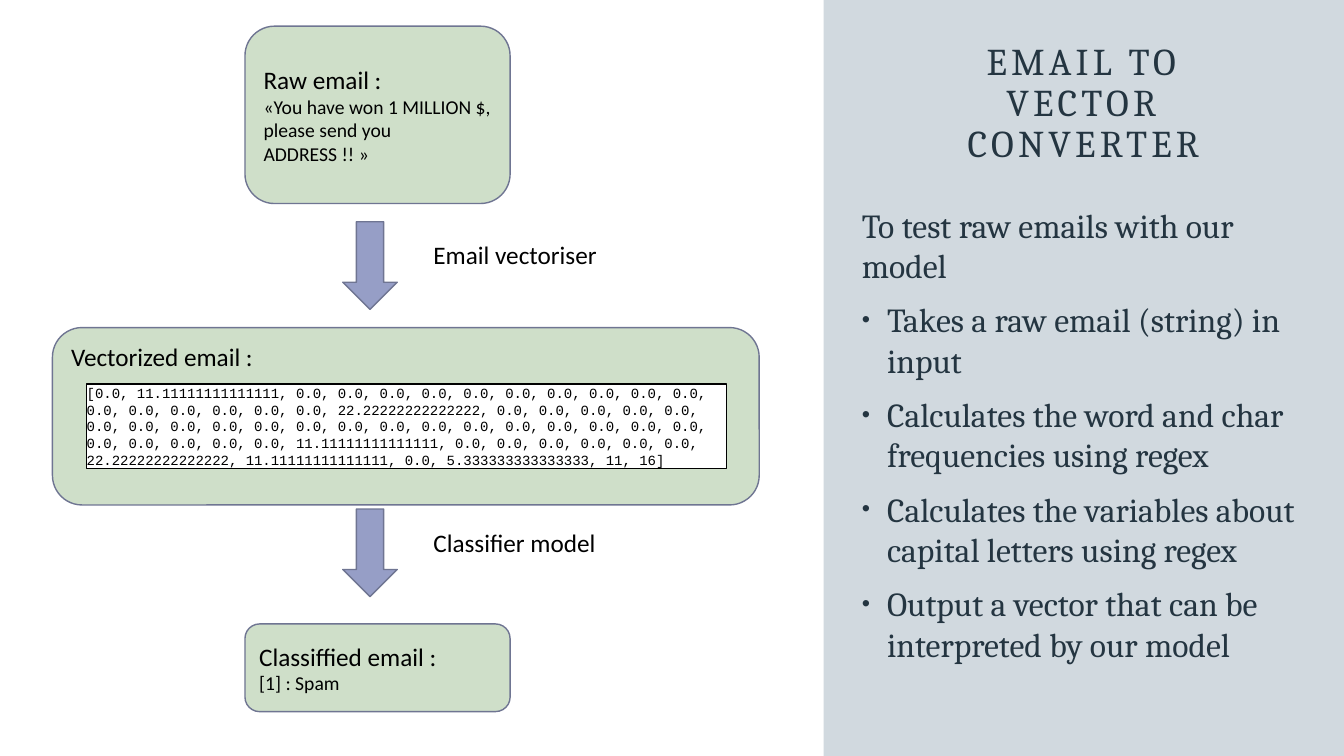
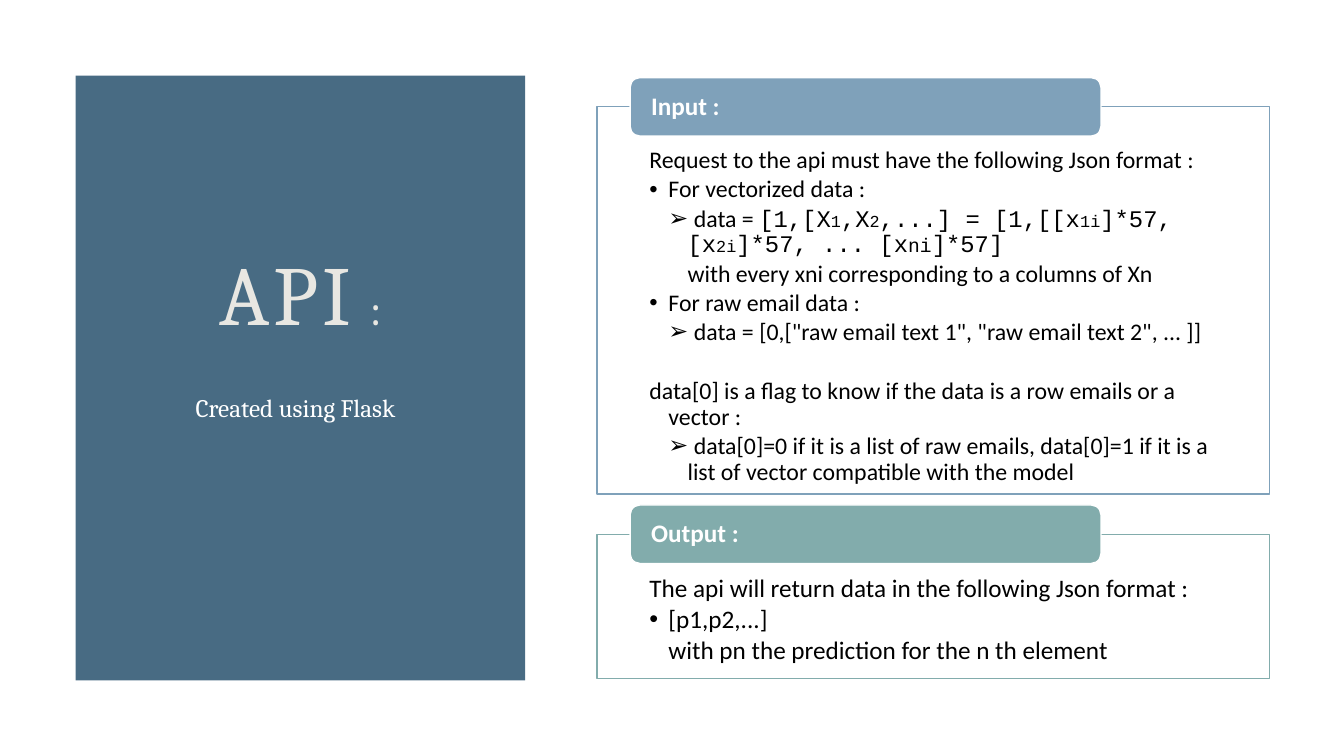
from lxml.etree import SubElement
from pptx import Presentation
from pptx.dml.color import RGBColor
from pptx.enum.shapes import MSO_SHAPE
from pptx.enum.text import MSO_ANCHOR, PP_ALIGN
from pptx.oxml.ns import qn
from pptx.util import Inches, Pt

# Shared look
BLUE, INK, CREAM = "486B83", "243541", "E8E7E2"
GREEN, LILAC, EDGE = "CFDFC9", "969EC6", "6F7592"
WHITE, BLACK = "FFFFFF", "000000"
SERIF, SANS, MONO = "Cambria", "Calibri", "Courier New"
RECT, ROUND = MSO_SHAPE.RECTANGLE, MSO_SHAPE.ROUNDED_RECTANGLE
TOP, MID, LOW = MSO_ANCHOR.TOP, MSO_ANCHOR.MIDDLE, MSO_ANCHOR.BOTTOM
INSET = (0.1, 0.05, 0.1, 0.05)
STEP = 0.19

# Slide 1: a paragraph is (runs, options); a run is (text, options)
GOAL = "To test raw emails with our model"
TASKS = [
    "Takes a raw email (string) in input",
    "Calculates the word and char frequencies using regex",
    "Calculates the variables about capital letters using regex",
    "Output a vector that can be interpreted by our model",
]
VECTOR = (
    ["0.0", "11.11111111111111"] + ["0.0"] * 16 + ["22.22222222222222"]
    + ["0.0"] * 25 + ["11.11111111111111"] + ["0.0"] * 6
    + ["22.22222222222222", "11.11111111111111", "0.0",
       "5.333333333333333", "11", "16"]
)
STAGES = [
    ((2.43, 0.26, 2.63, 1.76), MID, "Raw email :",
     "«You have won 1 MILLION $, please send you ADDRESS !!\u00a0»"),
    ((0.52, 3.25, 7.01, 1.76), TOP, "Vectorized email :", None),
    ((2.43, 6.19, 2.63, 0.87), MID, "Classiffied email :", "[1] : Spam"),
]
ARROWS = [(2.2, "Email vectoriser"), (5.05, "Classifier model")]

# Slide 2: a line is (runs, level, bullet, space before)
CODE, SUB = {"face": MONO}, {"face": MONO, "size": 12}
FORMAT = [
    (" data = ", {}), ("[1,[X", CODE), ("1", SUB), (",X", CODE), ("2", SUB),
    (",...] = [1,[[x", CODE), ("1i", SUB), ("]*57, [x", CODE), ("2i", SUB),
    ("]*57, ... [x", CODE), ("ni", {"face": MONO, "size": 14}),
    ("]*57]", CODE),
]
DOT, POINT = "•", "➢"
PANELS = [
    ("Input :", "7FA1BA", 1.06, 3.84, 17, [
        ("Request to the api must have the following Json format :", 1, "", 0),
        ("For vectorized data :", 1, DOT, 0),
        (FORMAT, 2, POINT, 0),
        ("with every xni corresponding to a columns of Xn", 3, "", 0),
        ("For raw email data :", 1, DOT, 0),
        (' data = [0,["raw email text 1", "raw email text 2", ... ]]',
         2, POINT, 0),
        ("data[0] is a flag to know if the data is a row emails or a vector :",
         1, "", 21),
        (" data[0]=0 if it is a list of raw emails, data[0]=1 if it is a "
         "list of vector compatible with the model", 2, POINT, 0),
    ]),
    ("Output :", "82ACAC", 5.3, 1.43, 18, [
        ("The api will return data in the following Json format :", 1, "", 0),
        ("[p1,p2,...]", 1, DOT, 0),
        ("with pn the prediction for the n th element", 2, "", 0),
    ]),
]


def color(code):
    """Turn a hex string into a colour."""
    return RGBColor.from_string(code)


def place(box):
    """Turn a box in inches into lengths."""
    return [Inches(v) for v in box]


def shape(slide, kind, box, fill, edge=None, width=1, alpha=None):
    """Add a flat preset shape."""
    item = slide.shapes.add_shape(kind, *place(box))
    item.shadow.inherit = False
    item.fill.solid()
    item.fill.fore_color.rgb = color(fill)
    if alpha:
        tone = item.fill._xPr.find(".//" + qn("a:srgbClr"))
        SubElement(tone, qn("a:alpha")).set("val", str(alpha * 1000))
    if edge:
        item.line.color.rgb = color(edge)
        item.line.width = Pt(width)
    else:
        item.line.fill.background()
    return item


def bullet(para, mark, left, hang, scale):
    """Indent a paragraph and give it a bullet."""
    props = para._p.get_or_add_pPr()
    props.set("marL", str(Inches(left)))
    props.set("indent", str(-Inches(hang)))
    if not mark:
        SubElement(props, qn("a:buNone"))
        return
    SubElement(props, qn("a:buSzPct")).set("val", str(scale * 1000))
    SubElement(props, qn("a:buFont")).set("typeface", "Arial")
    SubElement(props, qn("a:buChar")).set("char", mark)


def write(item, paras, size, face, ink, anchor=TOP, inset=INSET,
          align=PP_ALIGN.LEFT, bold=False, track=0):
    """Fill a shape with paragraphs, run by run."""
    frame = item.text_frame
    frame.word_wrap = True
    frame.vertical_anchor = anchor
    (frame.margin_left, frame.margin_top,
     frame.margin_right, frame.margin_bottom) = place(inset)
    for i, (runs, opts) in enumerate(paras):
        para = frame.add_paragraph() if i else frame.paragraphs[0]
        para.alignment = align
        para.line_spacing = opts.get("lead", 1.0)
        para.space_before = Pt(opts.get("before", 0))
        para.space_after = Pt(opts.get("after", 0))
        if "left" in opts:
            bullet(para, opts["mark"], opts["left"], opts["hang"],
                   opts.get("scale", 100))
        for text, look in [(runs, {})] if isinstance(runs, str) else runs:
            run = para.add_run()
            run.text = text
            font = run.font
            font.size = Pt(look.get("size", size))
            font.name = look.get("face", face)
            font.bold = bold
            font.color.rgb = color(ink)
            if track:
                run._r.get_or_add_rPr().set("spc", str(track * 100))


def label(slide, box, paras, *args, **opts):
    """Add a text box."""
    write(slide.shapes.add_textbox(*place(box)), paras, *args, **opts)


def title(slide, box, runs, size, ink, anchor):
    """Add a title in the shared spaced style."""
    label(slide, box, [(runs, {"lead": 0.9})], size, SERIF, ink,
          anchor=anchor, align=PP_ALIGN.CENTER, track=3)


def convert(slide):
    """Draw the email to vector flow and its side panel."""
    shape(slide, RECT, (8.17, 0, 5.16, 7.5), BLUE, alpha=25)
    title(slide, (8.89, 0.26, 3.71, 1.43), "EMAIL TO VECTOR CONVERTER",
          27, INK, LOW)
    item = {"left": 0.25, "hang": 0.25, "mark": DOT, "scale": 70, "before": 10}
    label(slide, (8.45, 1.98, 4.67, 4.92),
          [(GOAL, {"before": 10})] + [(task, item) for task in TASKS],
          24, SERIF, INK)
    for box, anchor, head, note in STAGES:
        paras = [(head, {})]
        if note:
            paras.append(([(note, {"size": 14})], {}))
        write(shape(slide, ROUND, box, GREEN, EDGE), paras,
              18, SANS, BLACK, anchor)
    cells = shape(slide, RECT, (0.86, 3.81, 6.35, 0.84), WHITE, BLACK, 0.75)
    write(cells, [("[" + ", ".join(VECTOR) + "]", {})], 10, MONO, BLACK,
          MID, (0, 0, 0, 0))
    for top, name in ARROWS:
        shape(slide, MSO_SHAPE.DOWN_ARROW, (3.4, top, 0.54, 0.87), LILAC, EDGE)
        label(slide, (4.2, top + 0.13, 2.46, 0.4), [(name, {})],
              18, SANS, BLACK)


def service(slide):
    """Draw the API card and its input and output panels."""
    shape(slide, RECT, (0.75, 0.75, 4.46, 6), BLUE)
    title(slide, (1.5, 2.33, 2.96, 1.26),
          [("API", {}), (" :", {"size": 32})], 60, CREAM, MID)
    label(slide, (1.72, 3.84, 2.42, 0.4), [("Created using Flask", {})],
          18, SERIF, WHITE, align=PP_ALIGN.CENTER)
    for head, tint, top, high, size, lines in PANELS:
        paras = [(runs, {"left": STEP * level, "hang": STEP, "mark": mark,
                         "lead": 0.9, "before": gap, "after": size * 0.15})
                 for runs, level, mark, gap in lines]
        panel = shape(slide, RECT, (5.92, top, 6.67, high), WHITE, tint)
        write(panel, paras, size, SANS, BLACK, inset=(0.52, 0.41, 0.52, 0.13))
        tab = shape(slide, ROUND, (6.25, top - 0.29, 4.67, 0.58), tint, WHITE)
        write(tab, [(head, {"lead": 0.9})], 18, SANS, WHITE, MID,
              (0.18, 0, 0.18, 0), bold=True)


deck = Presentation()
deck.slide_width, deck.slide_height = Inches(13.33), Inches(7.5)
for draw in (convert, service):
    draw(deck.slides.add_slide(deck.slide_layouts[6]))
deck.save("out.pptx")
